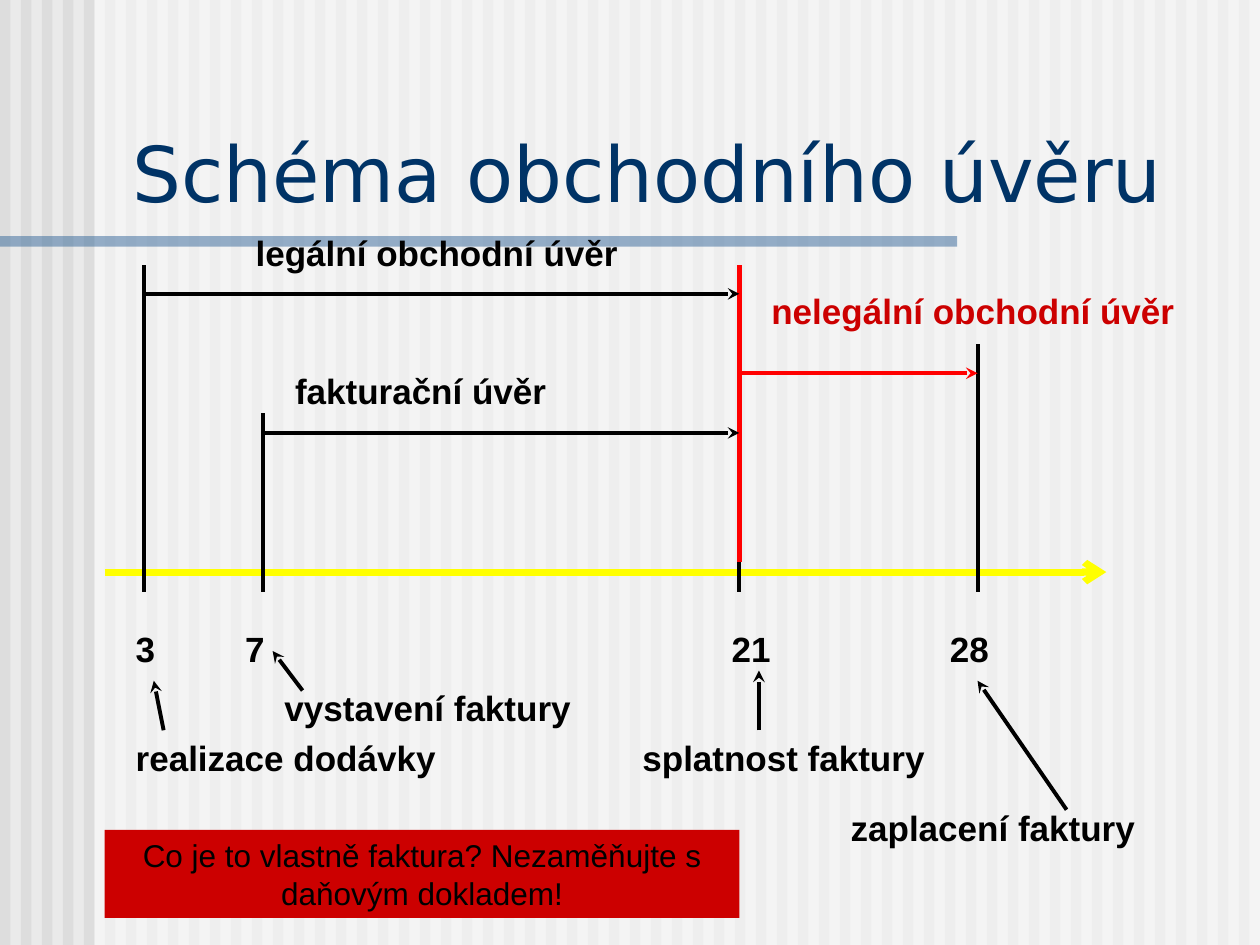
from lxml import etree
from pptx import Presentation
from pptx.dml.color import RGBColor
from pptx.enum import shapes, text
from pptx.oxml.ns import qn
from pptx.util import Pt

COLORS = {
    "background": "EAEAEA", "stripe": "DDDDDD", "veil": "FFFFFF", "bar": "336699",
    "title": "003366", "axis": "FFFF00", "ink": "000000", "red": "FF0000", "deep_red": "CC0000",
}
WIDTH, HEIGHT = 720, 540
STRIPE_COUNT, STRIPE_PITCH, STRIPE_WIDTH = 60, 12, 6

TITLE = "Schéma obchodního úvěru"
NOTE = "Co je to vlastně faktura? Nezaměňujte s daňovým dokladem!"

DELIVERY, ISSUE, DUE, PAYMENT = 82.2, 150.5, 422.5, 558.6
AXIS_START, AXIS_END, AXIS_Y = 59.8, 632.2, 326.9
TICK_TOP, TICK_BOTTOM = 315.4, 338.4
LABEL_HEIGHT, DAY_TOP = 31.7, 355

LABELS = [
    ("3", 70.5, DAY_TOP, 28, "ink"),
    ("7", 133, DAY_TOP, 28, "ink"),
    ("21", 411, DAY_TOP, 39.5, "ink"),
    ("28", 535.7, DAY_TOP, 39.5, "ink"),
    ("realizace dodávky", 70.5, 417.5, 204.5, "ink"),
    ("vystavení faktury", 155.5, 389, 204.5, "ink"),
    ("splatnost faktury", 360, 417.5, 209.5, "ink"),
    ("zaplacení faktury", 479, 457.5, 209.5, "ink"),
    ("legální obchodní úvěr", 139, 128.5, 250, "ink"),
    ("fakturační úvěr", 161.5, 207.5, 250, "ink"),
    ("nelegální obchodní úvěr", 433.7, 162, 250, "deep_red"),
]
POINTERS = [
    (93.5, 417.3, 87.9, 389),
    (172.9, 394.6, 155.8, 372),
    (433.7, 417.3, 433.7, 383.2),
    (609.5, 462.7, 558.6, 389),
]
BOUNDARIES = [
    (DUE, 321.2, 151.2, "red", 3),
    (DELIVERY, TICK_TOP, 151.2, "ink", 2.25),
    (ISSUE, TICK_TOP, 236.2, "ink", 2.25),
    (PAYMENT, TICK_TOP, 196.5, "ink", 2.25),
]
SPANS = [
    (DELIVERY, DUE, 167.9, "ink"),
    (ISSUE, DUE, 247.4, "ink"),
    (DUE, PAYMENT, 213.3, "red"),
]


def color(name):
    return RGBColor.from_string(COLORS[name])


def apply_format(target, values):
    for name, value in values.items():
        setattr(target, name, value)


def add_rectangle(slide, left, top, width, height, fill, opacity=None):
    shape = slide.shapes.add_shape(
        shapes.MSO_SHAPE.RECTANGLE, Pt(left), Pt(top), Pt(width), Pt(height))
    shape.shadow.inherit = False
    shape.fill.solid()
    shape.fill.fore_color.rgb = color(fill)
    shape.line.fill.background()
    if opacity:
        rgb = shape.fill._xPr.find(".//" + qn("a:srgbClr"))
        etree.SubElement(rgb, qn("a:alpha"), val=str(opacity * 1000))
    return shape


def add_line(slide, x1, y1, x2, y2, stroke="ink", weight=2.25, head=None):
    line = slide.shapes.add_connector(
        shapes.MSO_CONNECTOR.STRAIGHT, Pt(x1), Pt(y1), Pt(x2), Pt(y2))
    line.line.color.rgb = color(stroke)
    line.line.width = Pt(weight)
    if head:
        etree.SubElement(line.line._get_or_add_ln(), qn("a:tailEnd"), type=head)
    etree.SubElement(line._element.spPr, qn("a:effectLst"))


def write(shape, content, size, fill="ink", font="Arial", bold=False,
          align=text.PP_ALIGN.LEFT, anchor=text.MSO_ANCHOR.TOP):
    apply_format(shape.text_frame, {
        "word_wrap": True, "vertical_anchor": anchor,
        "auto_size": text.MSO_AUTO_SIZE.NONE, "text": content})
    paragraph = shape.text_frame.paragraphs[0]
    paragraph.alignment = align
    apply_format(paragraph.font, {"name": font, "size": Pt(size), "bold": bold})
    paragraph.font.color.rgb = color(fill)


def add_backdrop(slide):
    slide.background.fill.solid()
    slide.background.fill.fore_color.rgb = color("background")
    for index in range(STRIPE_COUNT):
        add_rectangle(slide, index * STRIPE_PITCH, 0, STRIPE_WIDTH, HEIGHT, "stripe")
    add_rectangle(slide, 54, 0, WIDTH - 54, HEIGHT, "veil", 50)
    add_rectangle(slide, 0, 135, 547, 6, "bar", 50)


def add_title(slide):
    title = slide.shapes.title
    apply_format(title, {"left": Pt(68.5), "top": Pt(67.5), "width": Pt(643), "height": Pt(60.5)})
    write(title, TITLE, 44, "title", "DejaVu Sans", anchor=text.MSO_ANCHOR.BOTTOM)
    title._element.getparent().append(title._element)


def add_timeline(slide):
    add_line(slide, AXIS_START, AXIS_Y, AXIS_END, AXIS_Y, "axis", 4, "arrow")
    for x in (DELIVERY, ISSUE, DUE, PAYMENT):
        add_line(slide, x, TICK_TOP, x, TICK_BOTTOM)
    for x, bottom, top, stroke, weight in BOUNDARIES:
        add_line(slide, x, bottom, x, top, stroke, weight)
    for start, end, y, stroke in SPANS:
        add_line(slide, start, y, end, y, stroke, head="stealth")
    for pointer in POINTERS:
        add_line(slide, *pointer, head="stealth")
    for content, left, top, width, fill in LABELS:
        label = slide.shapes.add_textbox(Pt(left), Pt(top), Pt(width), Pt(LABEL_HEIGHT))
        write(label, content, 20, fill, bold=True)


def main():
    presentation = Presentation()
    apply_format(presentation, {"slide_width": Pt(WIDTH), "slide_height": Pt(HEIGHT)})
    slide = presentation.slides.add_slide(presentation.slide_layouts[5])
    add_backdrop(slide)
    add_title(slide)
    add_timeline(slide)
    note = add_rectangle(slide, AXIS_START, 474.2, DUE - AXIS_START, 50.4, "deep_red")
    write(note, NOTE, 18, align=text.PP_ALIGN.CENTER)
    presentation.save("out.pptx")


if __name__ == "__main__":
    main()
